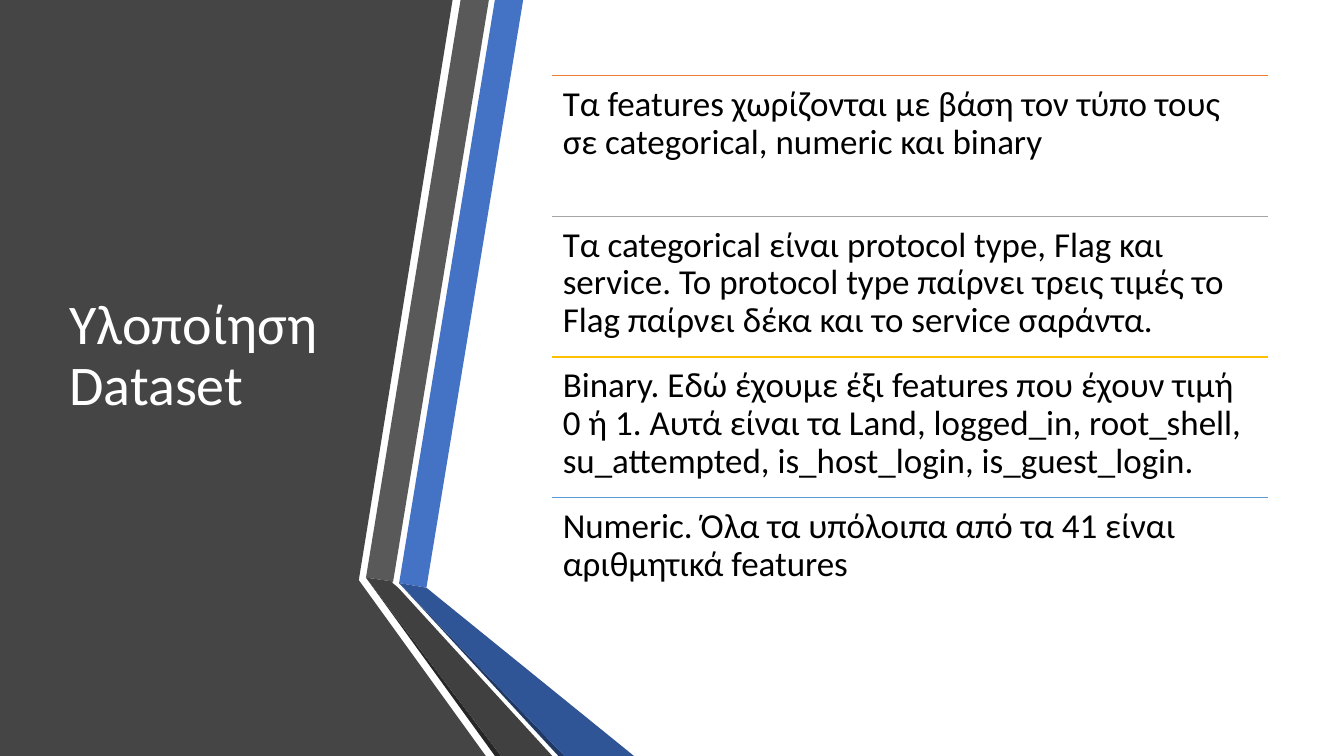
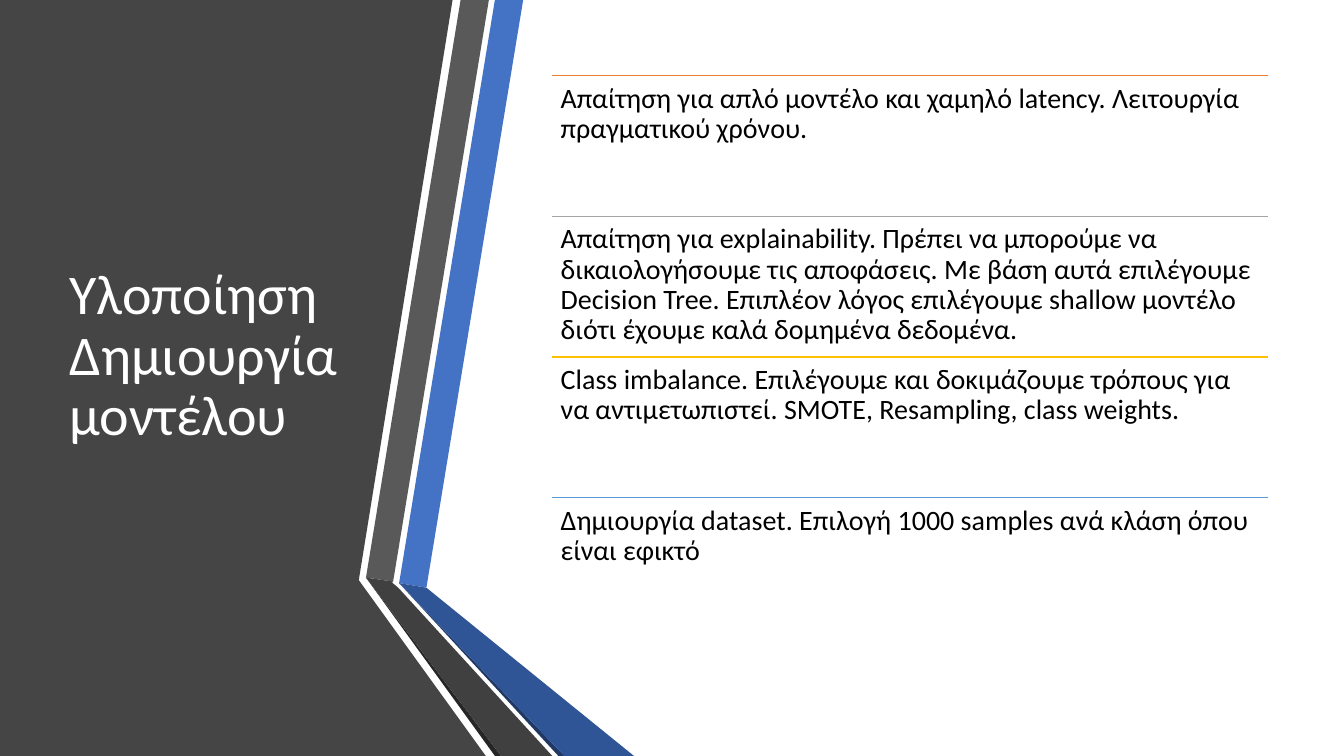
from lxml import etree
from pptx import Presentation
from pptx.dml.color import RGBColor
from pptx.enum.shapes import MSO_CONNECTOR
from pptx.enum.text import MSO_ANCHOR, MSO_AUTO_SIZE, PP_ALIGN
from pptx.oxml.ns import qn
from pptx.util import Pt

STRAIGHT = MSO_CONNECTOR.STRAIGHT
TOP, MIDDLE = MSO_ANCHOR.TOP, MSO_ANCHOR.MIDDLE
NO_AUTOFIT = MSO_AUTO_SIZE.NONE
LEFT = PP_ALIGN.LEFT

SLIDES = [
    {
        "title": "Υλοποίηση Dataset",
        "size": 25,
        "points": [
            "Τα features χωρίζονται με βάση τον τύπο τους σε categorical, "
            "numeric και binary",
            "Τα categorical είναι protocol type, Flag και service. To protocol "
            "type παίρνει τρεις τιμές το Flag παίρνει δέκα και το service σαράντα.",
            "Binary. Εδώ έχουμε έξι features που έχουν τιμή 0 ή 1. Αυτά είναι τα "
            "Land, logged_in, root_shell, su_attempted, is_host_login, "
            "is_guest_login.",
            "Numeric. Όλα τα υπόλοιπα από τα 41 είναι αριθμητικά features",
        ],
    },
    {
        "title": "Υλοποίηση Δημιουργία μοντέλου",
        "size": 20,
        "points": [
            "Απαίτηση για απλό μοντέλο και χαμηλό latency. Λειτουργία "
            "πραγματικού χρόνου.",
            "Απαίτηση για explainability. Πρέπει να μπορούμε να δικαιολογήσουμε "
            "τις αποφάσεις. Με βάση αυτά επιλέγουμε Decision Tree. Επιπλέον λόγος "
            "επιλέγουμε shallow μοντέλο διότι έχουμε καλά δομημένα δεδομένα.",
            "Class imbalance. Επιλέγουμε και δοκιμάζουμε τρόπους για να "
            "αντιμετωπιστεί. SMOTE, Resampling, class weights.",
            "Δημιουργία dataset. Επιλογή 1000 samples ανά κλάση όπου είναι εφικτό",
        ],
    },
]

FONT = "Calibri"
WHITE, BLACK = "FFFFFF", "000000"
RULE_COLOURS = ["ED7D31", "A5A5A5", "FFC000", "5B9BD5"]

WIDTH, HEIGHT = 960, 540
TITLE_BOX = (42.5, 54, 219, 402)
LIST_LEFT, LIST_TOP, LIST_WIDTH, ROW_HEIGHT = 394.5, 54, 511.5, 100.5
INSET_RATIO = 0.3

# Corners where the folded ribbons bend
GREY_BEND, GREY_INNER = (261.4, 412.6), (280.8, 415.4)
BLUE_BEND, BLUE_INNER = (285.1, 416.5), (304.6, 419.8)
GREY_FOOT, BLUE_FOOT = (357.8, HEIGHT), (403.2, HEIGHT)

BANDS = [
    ("454545", [(0, 0), (323.3, 0), (256.3, 414.4), (347, HEIGHT), (0, HEIGHT)]),
    ("4472C4", [BLUE_BEND, BLUE_INNER, (373.7, 0), (353.5, 0)]),
    ("595959", [(349.2, 0), (329, 0), GREY_BEND, GREY_INNER]),
    ("262626", [GREY_BEND, (353.5, HEIGHT), GREY_FOOT]),
    ("203864", [BLUE_BEND, (398.9, HEIGHT), BLUE_FOOT]),
    ("2F5597", [BLUE_BEND, BLUE_FOOT, (452.9, HEIGHT), BLUE_INNER]),
    ("404040", [(394.5, HEIGHT), (284.4, 419.8), (280.1, 416.2), GREY_INNER,
                GREY_BEND, GREY_FOOT]),
]


def rgb(colour):
    return RGBColor.from_string(colour)


def write(frame, text, size, colour, anchor):
    frame.text = text
    frame.word_wrap = True
    frame.auto_size = NO_AUTOFIT
    frame.vertical_anchor = anchor
    paragraph = frame.paragraphs[0]
    paragraph.alignment = LEFT
    paragraph.line_spacing = 0.9
    font = paragraph.runs[0].font
    font.name, font.size = FONT, Pt(size)
    font.color.rgb = rgb(colour)


def add_bands(slide):
    for colour, corners in BANDS:
        start, *others = [(Pt(x), Pt(y)) for x, y in corners]
        outline = slide.shapes.build_freeform(*start)
        outline.add_line_segments(others, close=True)
        band = outline.convert_to_shape()
        band.shadow.inherit = False
        band.fill.solid()
        band.fill.fore_color.rgb = rgb(colour)
        band.line.fill.background()


def add_title(slide, text):
    title = slide.shapes.title
    title.left, title.top, title.width, title.height = map(Pt, TITLE_BOX)
    write(title.text_frame, text, 40, WHITE, MIDDLE)
    # The title is created first, so bring it in front of the bands
    slide.shapes._spTree.append(title._element)


def add_rule(slide, top, colour):
    rule = slide.shapes.add_connector(
        STRAIGHT, Pt(LIST_LEFT), Pt(top), Pt(LIST_LEFT + LIST_WIDTH), Pt(top))
    rule.line.color.rgb = rgb(colour)
    rule.line.width = Pt(1)
    etree.SubElement(rule._element.spPr, qn("a:effectLst"))


def add_points(slide, points, size):
    for row, (point, colour) in enumerate(zip(points, RULE_COLOURS)):
        top = LIST_TOP + row * ROW_HEIGHT
        add_rule(slide, top, colour)
        box = slide.shapes.add_textbox(
            Pt(LIST_LEFT), Pt(top), Pt(LIST_WIDTH), Pt(ROW_HEIGHT))
        frame = box.text_frame
        inset = Pt(size * INSET_RATIO)
        frame.margin_left = frame.margin_right = inset
        frame.margin_top = frame.margin_bottom = inset
        write(frame, point, size, BLACK, TOP)


def main():
    deck = Presentation()
    deck.slide_width, deck.slide_height = Pt(WIDTH), Pt(HEIGHT)
    title_only = deck.slide_layouts[5]
    for content in SLIDES:
        slide = deck.slides.add_slide(title_only)
        add_bands(slide)
        add_title(slide, content["title"])
        add_points(slide, content["points"], content["size"])
    deck.save("out.pptx")


if __name__ == "__main__":
    main()
